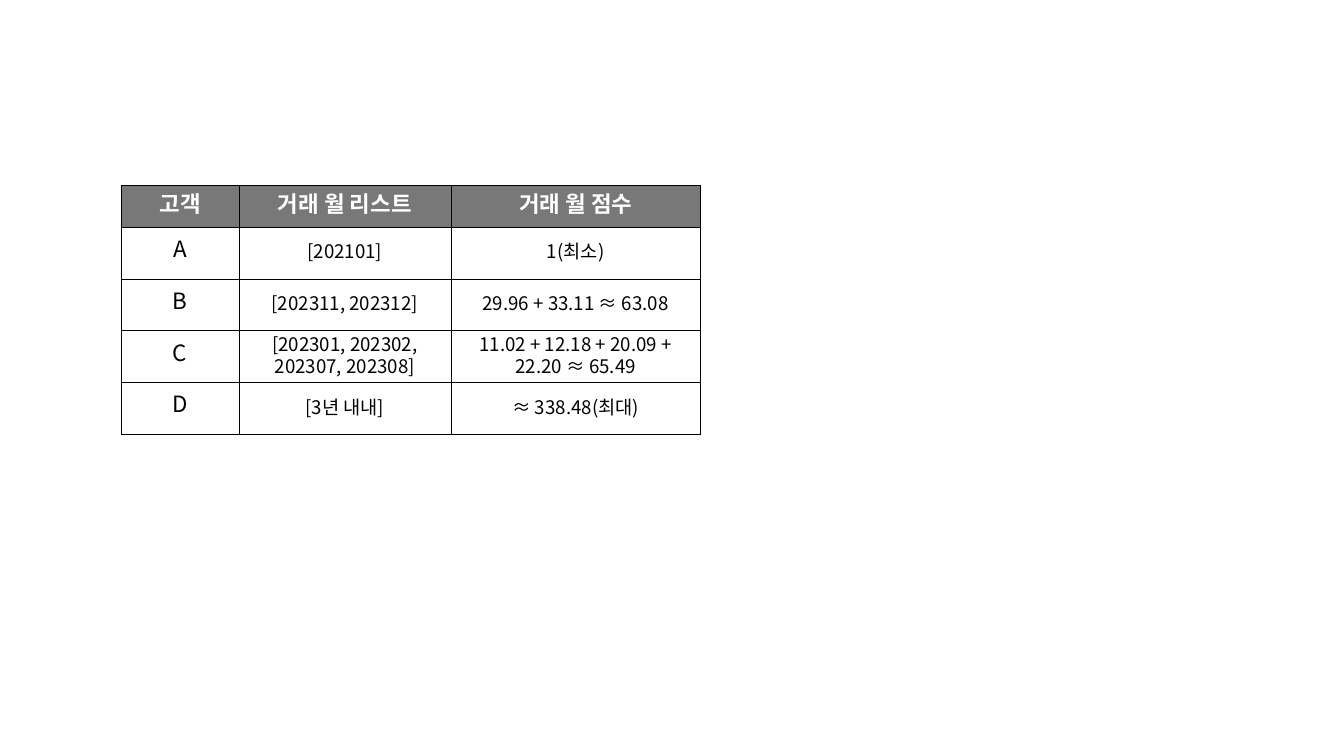
from lxml import etree
from pptx import Presentation
from pptx.dml.color import RGBColor
from pptx.enum import text
from pptx.oxml.ns import qn
from pptx.util import Pt

HEADER = ("고객", "거래 월 리스트", "거래 월 점수")
CUSTOMERS = [
    ("A", "[202101]", "1(최소)"),
    ("B", "[202311, 202312]", "29.96 + 33.11 ≈ 63.08"),
    ("C", "[202301, 202302, 202307, 202308]",
     "11.02 + 12.18 + 20.09 + 22.20 ≈ 65.49"),
    ("D", "[3년 내내]", "≈ 338.48(최대)"),
]
COLORS = {"header": "787878", "body": "FFFFFF", "header_text": "FFFFFF",
          "body_text": "000000", "border": "000000"}
FONT = "Noto Sans CJK KR"
LEFT, TOP = 130, 198
COLUMN_WIDTHS = (126, 227, 267.5)
HEADER_HEIGHT, ROW_HEIGHT = 45.5, 55.4
BORDER_WIDTH = 0.6


def add_borders(cell):
    """Draw all four edges; they must come before the fill in the cell."""
    tc_pr = cell._tc.get_or_add_tcPr()
    for i, edge in enumerate(("a:lnL", "a:lnR", "a:lnT", "a:lnB")):
        ln = etree.Element(qn(edge), w=str(Pt(BORDER_WIDTH)))
        fill = etree.SubElement(ln, qn("a:solidFill"))
        etree.SubElement(fill, qn("a:srgbClr"), val=COLORS["border"])
        tc_pr.insert(i, ln)


def fill_cell(cell, content, kind, size, spacing):
    cell.fill.solid()
    cell.fill.fore_color.rgb = RGBColor.from_string(COLORS[kind])
    cell.vertical_anchor = text.MSO_ANCHOR.MIDDLE
    add_borders(cell)
    p = cell.text_frame.paragraphs[0]
    p.text = content
    p.alignment = text.PP_ALIGN.CENTER
    p.line_spacing = Pt(spacing)
    font = p.font
    font.name, font.size, font.bold = FONT, Pt(size), kind == "header"
    font.color.rgb = RGBColor.from_string(COLORS[kind + "_text"])
    etree.SubElement(font._element, qn("a:ea"), typeface=FONT)


def main():
    prs = Presentation()
    prs.slide_width, prs.slide_height = Pt(1440), Pt(810)
    s = prs.slides.add_slide(prs.slide_layouts[6])

    rows = [HEADER, *CUSTOMERS]
    heights = [HEADER_HEIGHT] + [ROW_HEIGHT] * len(CUSTOMERS)
    table = s.shapes.add_table(
        len(rows), len(HEADER), Pt(LEFT), Pt(TOP),
        Pt(sum(COLUMN_WIDTHS)), Pt(sum(heights))).table
    for column, width in zip(table.columns, COLUMN_WIDTHS):
        column.width = Pt(width)
    for r, (row, height) in enumerate(zip(rows, heights)):
        table.rows[r].height = Pt(height)
        for c, content in enumerate(row):
            if r == 0:
                fill_cell(table.cell(r, c), content, "header", 24, 27.8)
            else:
                size = 24 if c == 0 else 20
                fill_cell(table.cell(r, c), content, "body", size, 24)

    prs.save("out.pptx")


if __name__ == "__main__":
    main()
